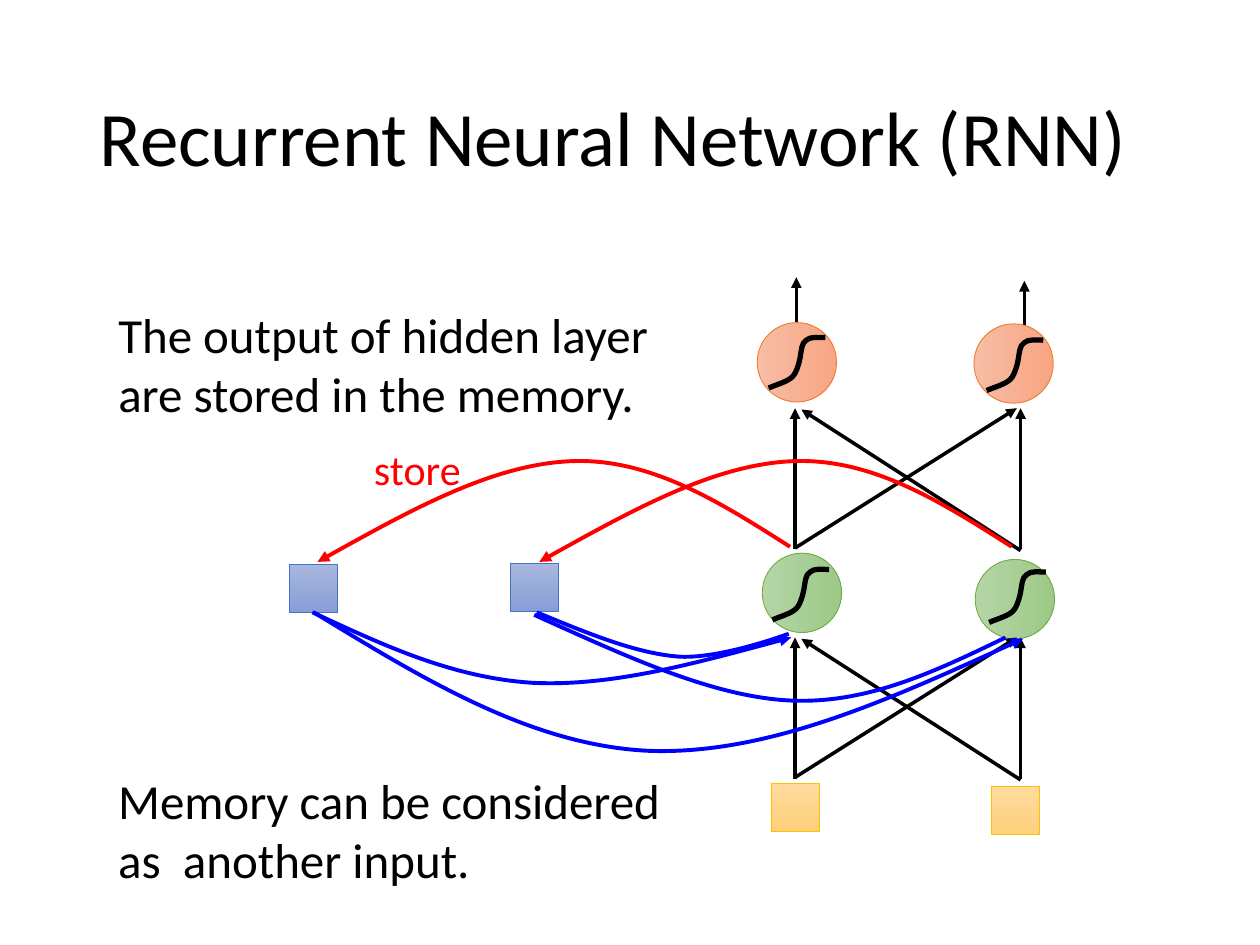
from pptx import Presentation
from pptx.dml.color import RGBColor
from pptx.enum.shapes import MSO_CONNECTOR, MSO_SHAPE
from pptx.enum.text import MSO_ANCHOR, PP_ALIGN
from pptx.oxml.ns import qn
from pptx.util import Inches, Pt
from lxml.etree import SubElement

FONT = "Calibri"
BLACK, RED, BLUE = "000000", "FF0000", "0000FF"
TITLE = "Recurrent Neural Network (RNN)"
NOTES = [  # text, left, top, width, height, size, colour
    ("Memory can be considered as  another input.", 0.84, 6.07, 4.53, 1.04, 28, BLACK),
    ("The output of hidden layer are stored in the memory.", 0.84, 2.37, 4.82, 1.04, 28, BLACK),
    ("store", 2.87, 3.47, 1.06, 0.5, 24, RED),
]
# shape, size, rotation, gradient start and end, outline, positions
INPUTS = (MSO_SHAPE.RECTANGLE, 0.38, 0, "FFDB9E", "FFD07C", "FFC000",
          [(6.12, 6.22), (7.87, 6.24)])
HIDDEN = (MSO_SHAPE.OVAL, 0.63, 270, "B5D5A7", "9CC987", "70AD47",
          [(6.05, 4.39), (7.74, 4.44)])
OUTPUTS = (MSO_SHAPE.OVAL, 0.63, 270, "F7BDA5", "F8A582", "ED7D31",
           [(6.01, 2.56), (7.73, 2.57)])
MEMORY = (MSO_SHAPE.RECTANGLE, 0.38, 0, "A8B7DF", "889ED7", "4472C4",
          [(2.3, 4.48), (4.05, 4.47)])

OUTPUT_ARROWS = [((8.13, 2.95), (8.13, 2.23)), ((6.32, 2.91), (6.32, 2.2))]
LAYER_ARROWS = [((8.1, 4.37), (6.36, 3.25)), ((6.31, 4.35), (8.07, 3.24)),
                ((8.1, 4.36), (8.1, 3.24)), ((6.31, 4.36), (6.31, 3.24))]
LAYER_GAP = 1.82

# Each curve: start point, then two control points and an end point per segment
RECALL_CURVES = [  # points, has arrowhead
    ([(4.26, 4.86), (4.65, 5.02), (5.03, 5.18), (5.37, 5.21),
      (5.7, 5.24), (6.26, 5.03), (6.26, 5.03)], False),
    ([(4.24, 4.88), (4.95, 5.2), (5.65, 5.53), (6.27, 5.56),
      (6.89, 5.59), (7.44, 5.32), (7.98, 5.06)], False),
    ([(2.48, 4.86), (3.04, 5.12), (3.59, 5.38), (4.23, 5.42),
      (4.86, 5.45), (5.57, 5.25), (6.28, 5.06)], True),
    ([(2.49, 4.86), (3.36, 5.39), (4.22, 5.92), (5.16, 5.96),
      (6.1, 5.99), (7.11, 5.53), (8.12, 5.07)], True),
]
SIGMOID = [(0, 0.4), (0.07, 0.37), (0.15, 0.35), (0.19, 0.31), (0.23, 0.27),
           (0.25, 0.16), (0.25, 0.16), (0.26, 0.11), (0.26, 0.04), (0.3, 0.02),
           (0.33, -0.01), (0.39, 0), (0.45, 0)]
SIGMOID_PLACES = [(6.1, 2.68), (7.83, 2.7), (7.85, 4.54), (6.13, 4.52)]
STORE = [(3.75, 0.68), (3.2, 0.33), (2.65, -0.02), (2.03, 0),
         (1.4, 0.02), (0.7, 0.41), (0, 0.8)]
STORE_PLACES = [(2.52, 3.66), (4.28, 3.66)]


def color(value):
    return RGBColor.from_string(value)


def style_line(shape, value, width, arrow=False):
    shape.line.color.rgb = color(value)
    shape.line.width = Pt(width)
    if arrow:
        SubElement(shape.line._get_or_add_ln(), qn("a:tailEnd"), type="triangle")


def format_text(text_frame, size, value):
    for paragraph in text_frame.paragraphs:
        for run in paragraph.runs:
            run.font.name = FONT
            run.font.size = Pt(size)
            run.font.color.rgb = color(value)


def add_nodes(shapes, kind, size, rotation, start, end, outline, places):
    for left, top in places:
        node = shapes.add_shape(kind, Inches(left), Inches(top), Inches(size), Inches(size))
        node.rotation = rotation
        node.shadow.inherit = False
        node.fill.gradient()
        node.fill.gradient_angle = 270
        for stop, value in zip(node.fill.gradient_stops, (start, end)):
            stop.color.rgb = color(value)
        style_line(node, outline, 0.5)


def add_arrows(shapes, arrows, down=0):
    for (x1, y1), (x2, y2) in arrows:
        arrow = shapes.add_connector(MSO_CONNECTOR.STRAIGHT, Inches(x1), Inches(y1 + down),
                                     Inches(x2), Inches(y2 + down))
        style_line(arrow, BLACK, 2, True)
        SubElement(arrow._element.spPr, qn("a:effectLst"))


def add_curve(shapes, points, value, width, arrow=False, origin=(0, 0)):
    """Outline the curve's knots, then turn each straight segment into a Bezier."""
    points = [(Inches(x + origin[0]), Inches(y + origin[1])) for x, y in points]
    builder = shapes.build_freeform(*points[0], scale=1.0)
    builder.add_line_segments(points[3::3], close=False)
    curve = builder.convert_to_shape()
    segments = list(curve._element.iter(qn("a:lnTo")))
    for index, segment in enumerate(segments):
        segment.clear()
        segment.tag = qn("a:cubicBezTo")
        for x, y in points[3 * index + 1:3 * index + 4]:
            SubElement(segment, qn("a:pt"), x=str(x - curve.left), y=str(y - curve.top))
    curve.fill.background()
    curve.shadow.inherit = False
    style_line(curve, value, width, arrow)


def add_note(shapes, text, left, top, width, height, size, value):
    box = shapes.add_textbox(Inches(left), Inches(top), Inches(width), Inches(height))
    box.text_frame.word_wrap = True
    box.text_frame.text = text
    format_text(box.text_frame, size, value)


def add_title(slide):
    title = slide.shapes.title
    title.left, title.top, title.width, title.height = map(Inches, (0.69, 0.4, 8.62, 1.45))
    title.text_frame.text = TITLE
    title.text_frame.vertical_anchor = MSO_ANCHOR.MIDDLE
    paragraph = title.text_frame.paragraphs[0]
    paragraph.alignment = PP_ALIGN.LEFT
    paragraph.line_spacing = 0.9
    format_text(title.text_frame, 44, BLACK)


def main():
    presentation = Presentation()
    presentation.slide_width, presentation.slide_height = Inches(10), Inches(7.5)
    slide = presentation.slides.add_slide(presentation.slide_layouts[5])
    shapes = slide.shapes
    add_title(slide)
    add_arrows(shapes, OUTPUT_ARROWS)
    for layer in (INPUTS, HIDDEN, OUTPUTS):
        add_nodes(shapes, *layer)
    add_arrows(shapes, LAYER_ARROWS, LAYER_GAP)
    add_nodes(shapes, *MEMORY)
    add_arrows(shapes, LAYER_ARROWS)
    for points, arrow in RECALL_CURVES:
        add_curve(shapes, points, BLUE, 2.25, arrow)
    for place in SIGMOID_PLACES:
        add_curve(shapes, SIGMOID, BLACK, 3, origin=place)
    for place in STORE_PLACES:
        add_curve(shapes, STORE, RED, 2.25, True, place)
    for note in NOTES:
        add_note(shapes, *note)
    presentation.save("out.pptx")


if __name__ == "__main__":
    main()
